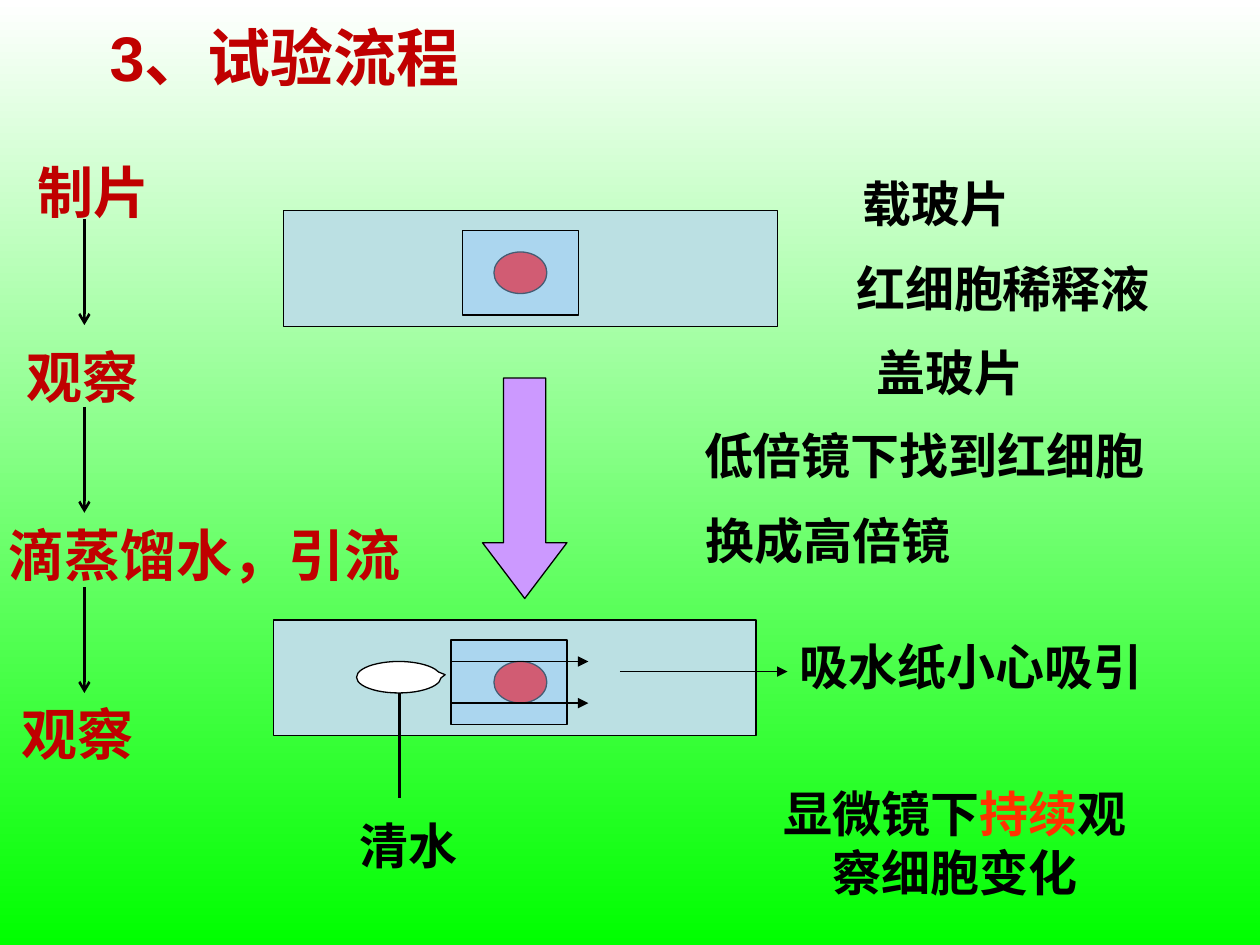
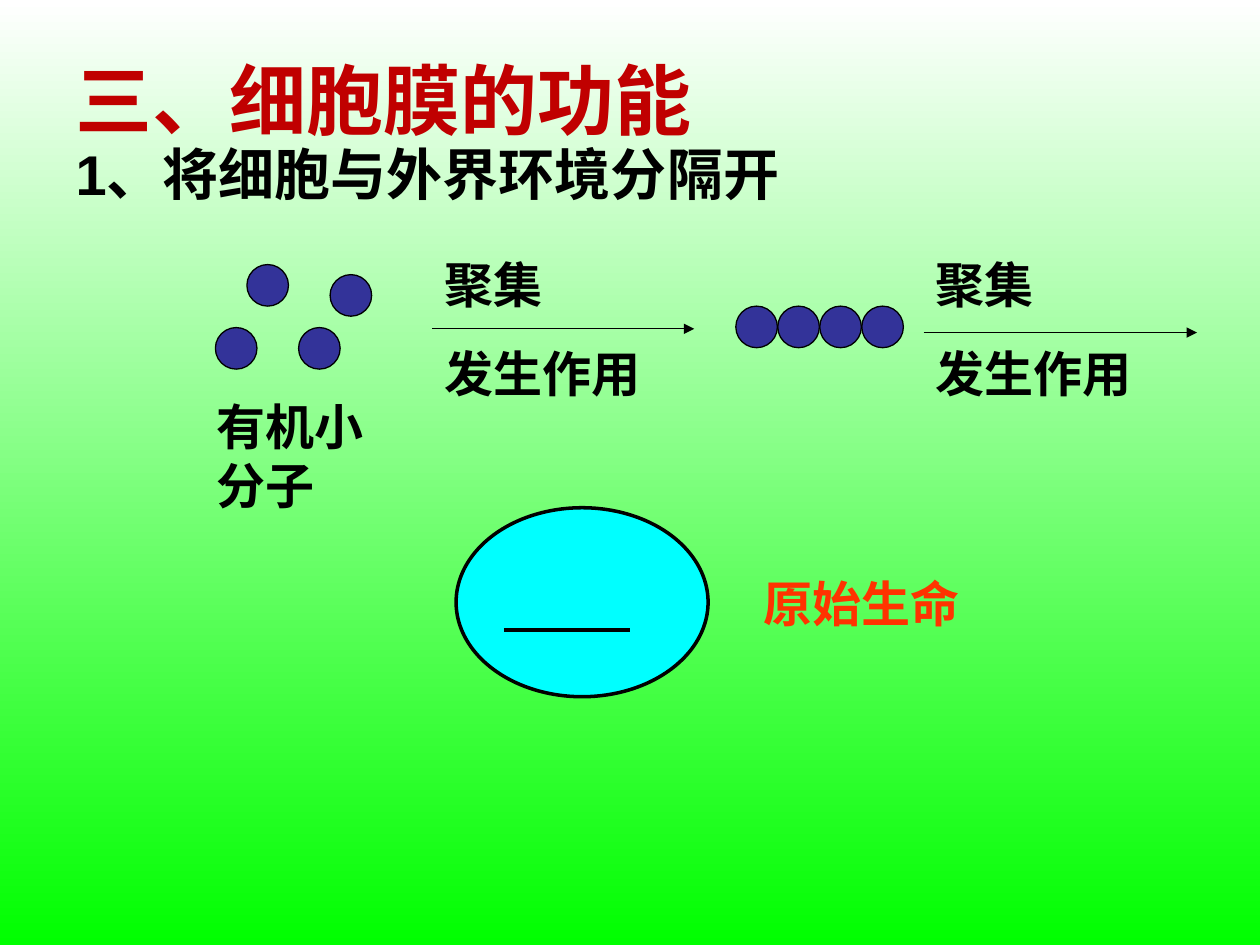
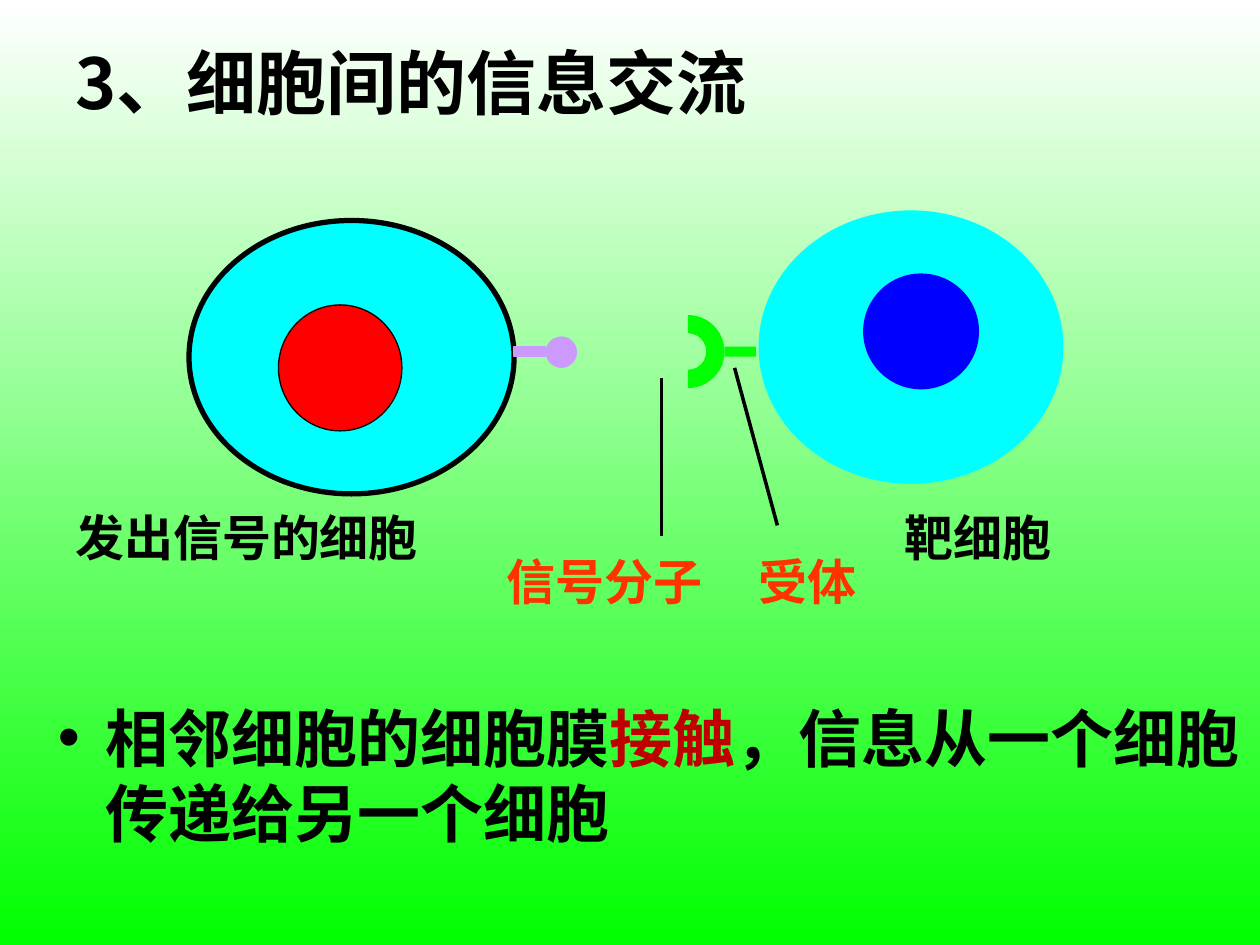
"""Build three biology slides: osmosis experiment, membrane function, cell signalling."""
from dataclasses import dataclass

from lxml.etree import SubElement
from pptx import Presentation
from pptx.dml.color import RGBColor
from pptx.enum.shapes import MSO_CONNECTOR, MSO_SHAPE
from pptx.enum.text import MSO_ANCHOR, MSO_AUTO_SIZE, PP_ALIGN
from pptx.oxml.ns import qn
from pptx.util import Inches, Pt


@dataclass(frozen=True)
class Theme:
    black: str = "000000"
    white: str = "FFFFFF"
    heading: str = "C00000"
    accent: str = "FF3300"
    green: str = "00FF00"
    glass: str = "BBE0E3"
    cover: str = "99CCFF"
    red: str = "FF0000"
    blue: str = "0000FF"
    violet: str = "CC99FF"
    molecule: str = "333399"
    cyan: str = "00FFFF"
    font: str = "Arial"
    chinese_font: str = "Noto Sans CJK SC"
    label: int = 28
    step: int = 32
    list: int = 36
    title: int = 40
    chapter: int = 44
    thin: float = 0.75
    medium: float = 1.5
    thick: float = 2
    heavy: float = 3


THEME = Theme()
LEFT, CENTER = PP_ALIGN.LEFT, PP_ALIGN.CENTER
OVAL, RECTANGLE = MSO_SHAPE.OVAL, MSO_SHAPE.RECTANGLE

STEPS = [
    ("制片", (0.2, 1.2, 1.3, 0.64), 1.74),
    ("观察", (0.11, 2.67, 1.3, 0.64), 3.23),
    ("滴蒸馏水，引流", (-0.03, 4.08, 3.62, 0.64), 4.66),
    ("观察", (0.07, 5.5, 2.29, 0.64), None),
]
STEP_ARROW_X, STEP_ARROW_LENGTH = 0.67, 0.84
EXPERIMENT_LABELS = [
    ("载玻片", (6.75, 1.33, 1.58, 0.57), LEFT),
    ("红细胞稀释液", (6.67, 2, 2.58, 0.57), CENTER),
    ("盖玻片", (6.75, 2.67, 1.58, 0.57), CENTER),
    ("低倍镜下找到红细胞", (5, 3.33, 4.67, 0.57), CENTER),
    ("换成高倍镜", (5.5, 4, 3.58, 0.57), LEFT),
    ("吸水纸小心吸引", (6.25, 5, 3.25, 0.57), LEFT),
    ("清水", (2.58, 6.42, 1.33, 0.57), CENTER),
]
CONTINUED_VIEW = [("显微镜下", THEME.black), ("持续", THEME.accent), ("观察细胞变化", THEME.black)]
GLASS_SLIDES = [
    ((2.25, 1.67, 3.92, 0.92), (3.92, 2, 0.42, 0.33), (3.67, 1.83, 0.92, 0.67)),
    ((2.17, 4.92, 3.83, 0.92), (3.92, 5.25, 0.42, 0.33), (3.58, 5.08, 0.92, 0.67)),
]
FLOW_ARROWS = [(3.58, 5.25, 4.67, 5.25), (3.58, 5.58, 4.67, 5.58), (4.92, 5.33, 6.25, 5.33)]

MOLECULE_SIZE = 0.33
FREE_MOLECULES = [(1.71, 2.6), (2.37, 2.6), (2.62, 2.18), (1.96, 2.1)]
CHAIN_MOLECULES = [(5.84 + index / 3, 2.43) for index in range(4)]
REACTION = ["聚集", "发生作用"]
STRAND_START = (4.04, 4.71)
STRAND_CURVES = [
    ((4.16, 4.76), (4.27, 4.8), (4.34, 4.79)),
    ((4.41, 4.78), (4.37, 4.64), (4.44, 4.63)),
    ((4.51, 4.62), (4.69, 4.67), (4.74, 4.71)),
    ((4.79, 4.75), (4.69, 4.86), (4.74, 4.87)),
    ((4.79, 4.88), (4.99, 4.82), (5.04, 4.79)),
]

CONTACT = [("相邻细胞的细胞膜", THEME.black), ("接触", THEME.heading),
           ("，信息从一个细胞传递给另一个细胞", THEME.black)]
SIGNAL_PARTS = [
    (OVAL, (6.02, 1.67, 2.42, 2.17), THEME.cyan, None, 0),
    (OVAL, (6.85, 2.17, 0.92, 0.92), THEME.blue, None, 0),
    (RECTANGLE, (5.75, 2.75, 0.25, 0.08), THEME.green, None, 0),
    (OVAL, (1.5, 1.75, 2.58, 2.17), THEME.cyan, THEME.black, THEME.heavy),
    (OVAL, (2.21, 2.42, 0.98, 1), THEME.red, THEME.black, THEME.thin),
    (RECTANGLE, (4.08, 2.75, 0.25, 0.08), THEME.violet, THEME.violet, THEME.thin),
    (OVAL, (4.33, 2.67, 0.25, 0.25), THEME.violet, None, 0),
]
SIGNAL_LABELS = [
    ("发出信号的细胞", (0.5, 3.98, 3.1, 0.57), THEME.black),
    ("信号分子", (3.92, 4.33, 1.92, 0.57), THEME.accent),
    ("受体", (5.92, 4.33, 1.17, 0.57), THEME.accent),
    ("靶细胞", (7.08, 3.98, 1.75, 0.57), THEME.black),
]
SIGNAL_POINTERS = [(5.25, 3, 5.25, 4.25), (5.83, 2.92, 6.17, 4.17)]


def rgb(color):
    return RGBColor.from_string(color)


def place(shape, box):
    shape.left, shape.top, shape.width, shape.height = map(Inches, box)


def write(shape, paragraphs, size, align=LEFT, anchor=MSO_ANCHOR.TOP, font=THEME.font, gap=0):
    """Fill a shape with paragraphs, each a list of (text, colour) runs."""
    frame = shape.text_frame
    frame.word_wrap = True
    frame.auto_size = MSO_AUTO_SIZE.NONE
    frame.vertical_anchor = anchor
    for index, runs in enumerate(paragraphs):
        paragraph = frame.add_paragraph() if index else frame.paragraphs[0]
        paragraph.alignment = align
        paragraph.space_before = Pt(gap if index else 0)
        for text, color in runs:
            run = paragraph.add_run()
            run.text = text
            run.font.name = font
            run.font.size = Pt(size)
            run.font.bold = True
            run.font.color.rgb = rgb(color)
            SubElement(run.font._element, qn("a:ea"), typeface=THEME.chinese_font)


def add_label(slide, box, paragraphs, size=THEME.label, align=LEFT, gap=0):
    label = slide.shapes.add_textbox(*map(Inches, box))
    write(label, paragraphs, size, align, gap=gap)
    return label


def add_title(slide, box, text, size, color, anchor=MSO_ANCHOR.MIDDLE, font=THEME.font):
    place(slide.shapes.title, box)
    write(slide.shapes.title, [[(text, color)]], size, anchor=anchor, font=font)


def outline(shape, color, width):
    if color:
        shape.line.color.rgb = rgb(color)
        shape.line.width = Pt(width)
    else:
        shape.line.fill.background()


def add_figure(slide, kind, box, fill, line=THEME.black, width=THEME.thin, alpha=None):
    figure = slide.shapes.add_shape(kind, *map(Inches, box))
    figure.shadow.inherit = False
    figure.fill.solid()
    figure.fill.fore_color.rgb = rgb(fill)
    if alpha:
        color = figure._element.spPr.find(qn("a:solidFill"))[0]
        SubElement(color, qn("a:alpha"), val=str(alpha * 1000))
    outline(figure, line, width)
    return figure


def add_line(slide, ends, width=THEME.thin, head=None):
    line = slide.shapes.add_connector(MSO_CONNECTOR.STRAIGHT, *map(Inches, ends))
    outline(line, THEME.black, width)
    if head:
        SubElement(line.line._get_or_add_ln(), qn("a:tailEnd"), type=head)
    SubElement(line._element.spPr, qn("a:effectLst"))
    return line


def curve_points(start, curves, steps=12):
    """Return points along a chain of cubic curves."""
    points = []
    for first, second, end in curves:
        for step in range(1, steps + 1):
            t = step / steps
            weights = ((1 - t) ** 3, 3 * t * (1 - t) ** 2, 3 * t * t * (1 - t), t ** 3)
            corners = (start, first, second, end)
            points.append(tuple(sum(weight * corner[axis] for weight, corner in zip(weights, corners))
                                for axis in (0, 1)))
        start = end
    return points


def build_experiment(slide):
    add_title(slide, (0.77, 0.1, 3.56, 0.7), "3、试验流程", THEME.list, THEME.heading, MSO_ANCHOR.TOP)
    for glass, cells, cover in GLASS_SLIDES:
        add_figure(slide, RECTANGLE, glass, THEME.glass)
        add_figure(slide, OVAL, cells, THEME.red)
        add_figure(slide, RECTANGLE, cover, THEME.cover, alpha=45)
    arrow = add_figure(slide, MSO_SHAPE.DOWN_ARROW, (3.83, 3, 0.67, 1.75), THEME.violet)
    arrow.adjustments[1] = 0.66
    dropper = add_figure(slide, MSO_SHAPE.OVAL_CALLOUT, (2.83, 5.25, 0.67, 0.25), THEME.white)
    dropper.adjustments[0], dropper.adjustments[1] = 0.55, -0.08
    add_line(slide, (3.17, 5.5, 3.17, 6.33), THEME.thick)
    for ends in FLOW_ARROWS:
        add_line(slide, ends, head="triangle")
    for text, box, align in EXPERIMENT_LABELS:
        add_label(slide, box, [[(text, THEME.black)]], align=align)
    add_label(slide, (6.08, 6.17, 3, 1.04), [CONTINUED_VIEW], align=CENTER)
    for text, box, arrow_top in STEPS:
        add_label(slide, box, [[(text, THEME.heading)]], THEME.step)
        if arrow_top:
            ends = (STEP_ARROW_X, arrow_top, STEP_ARROW_X, arrow_top + STEP_ARROW_LENGTH)
            add_line(slide, ends, THEME.medium, "arrow")


def build_function(slide):
    add_title(slide, (0.5, 0.16, 9, 1.25), "三、细胞膜的功能", THEME.chapter, THEME.heading)
    body = slide.placeholders[1]
    place(body, (0.5, 1.06, 7.29, 0.78))
    properties = body.text_frame.paragraphs[0]._p.get_or_add_pPr()
    properties.set("marL", "0")
    properties.set("indent", "0")
    SubElement(properties, qn("a:buNone"))
    write(body, [[("1、将细胞与外界环境分隔开", THEME.black)]], THEME.step)
    for left, top in FREE_MOLECULES + CHAIN_MOLECULES:
        add_figure(slide, OVAL, (left, top, MOLECULE_SIZE, MOLECULE_SIZE), THEME.molecule)
    add_label(slide, (1.62, 3.1, 1.5, 1.04), [[("有机小分子", THEME.black)]])

    reaction = [[(text, THEME.black)] for text in REACTION]
    first_reaction = add_label(slide, (3.43, 1.97, 2.08, 1.28), reaction, gap=17.5)
    first_arrow = add_line(slide, (3.43, 2.61, 5.51, 2.61), head="triangle")
    first_arrow.begin_connect(first_reaction, 1)
    first_arrow.end_connect(first_reaction, 3)
    add_label(slide, (7.33, 1.97, 1.92, 1.28), reaction, gap=17.5)
    add_line(slide, (7.33, 2.64, 9.5, 2.64), head="triangle")

    add_figure(slide, OVAL, (3.62, 4.03, 2, 1.5), THEME.cyan, width=THEME.thick)
    builder = slide.shapes.build_freeform(*STRAND_START, scale=Inches(1))
    builder.add_line_segments(curve_points(STRAND_START, STRAND_CURVES), close=False)
    strand = builder.convert_to_shape()
    strand.shadow.inherit = False
    strand.fill.background()
    outline(strand, THEME.black, THEME.thick)
    add_label(slide, (5.96, 4.5, 1.83, 0.57), [[("原始生命", THEME.accent)]])


def build_signalling(slide):
    add_title(slide, (0.5, 0.02, 9, 1.25), "3、细胞间的信息交流", THEME.title, THEME.black,
              font=THEME.chinese_font)
    body = slide.placeholders[1]
    place(body, (0.36, 5.5, 9.61, 1.48))
    write(body, [CONTACT], THEME.list)
    for part in SIGNAL_PARTS:
        add_figure(slide, *part)
    receptor = add_figure(slide, MSO_SHAPE.BLOCK_ARC, (5.17, 2.5, 0.58, 0.58), THEME.green, None)
    receptor.rotation = 90
    for ends in SIGNAL_POINTERS:
        add_line(slide, ends, THEME.thick)
    for text, box, color in SIGNAL_LABELS:
        add_label(slide, box, [[(text, color)]])


def main():
    presentation = Presentation()
    presentation.slide_width, presentation.slide_height = Inches(10), Inches(7.5)
    background = presentation.slide_master.background.fill
    background.gradient()
    background.gradient_angle = 270
    for stop, color in zip(background.gradient_stops, (THEME.white, THEME.green)):
        stop.color.rgb = rgb(color)
    list_layout, title_layout = presentation.slide_layouts[1], presentation.slide_layouts[5]
    for layout, build in ((title_layout, build_experiment), (list_layout, build_function),
                          (list_layout, build_signalling)):
        build(presentation.slides.add_slide(layout))
    presentation.save("out.pptx")


if __name__ == "__main__":
    main()
